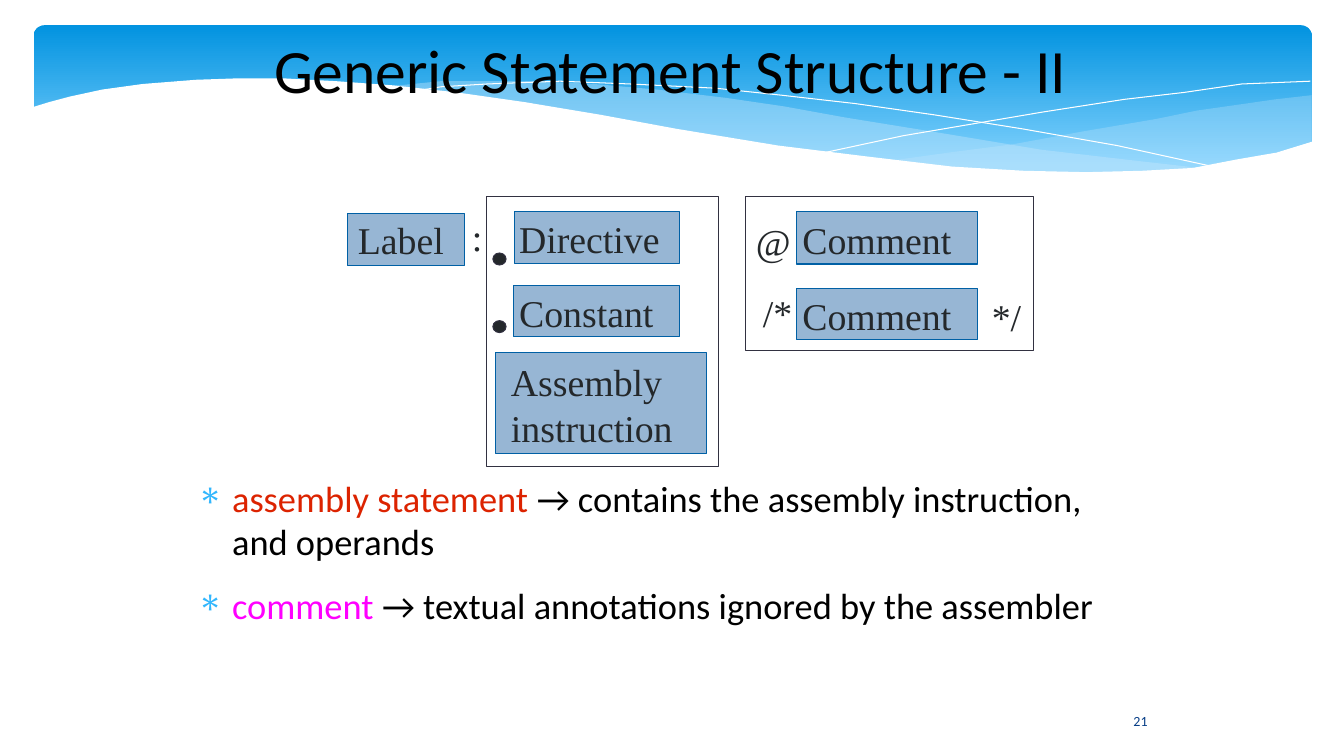
import pptx
import pptx.util
import pptx.dml.color
import pptx.enum.dml
import pptx.enum.shapes
import pptx.enum.text
from lxml import etree

Pt = pptx.util.Pt
Shape = pptx.enum.shapes.MSO_SHAPE
Align = pptx.enum.text.PP_ALIGN
Anchor = pptx.enum.text.MSO_ANCHOR

COLORS = {
    "sky_top": "0293E0", "sky_bottom": "83D3FE", "wave": "C6E7FC", "white": "FFFFFF",
    "chip": "97B6D4", "chip_line": "0060A5", "frame": "323141", "ink": "24282B",
    "black": "000000", "red": "DC2300", "magenta": "FF00FF",
    "bullet": "31B6FD", "number": "073E87",
}
SANS, SERIF = "Calibri", "Times New Roman"

# Banner outlines, in points from the banner's top left corner
RIGHT_WAVE = [
    (912.7, 49.7), (886.8, 53.3), (859.4, 56.9), (831.4, 61.2), (801.8, 67), (748.6, 76.3),
    (699.6, 85), (653.5, 91.4), (611, 97.2), (652.8, 100.8), (691, 103.7), (736.3, 105.8),
    (777.4, 105.8), (813.4, 103.7), (845, 99.4), (873.8, 94.3), (900.5, 87.8), (912.7, 84.2)]
MIDDLE_WAVE = [
    (832.8, 102.2), (779.5, 96.5), (720.5, 89.3), (653.5, 78.5), (580.1, 65.5), (536.2, 58.3),
    (495.1, 51.8), (445.4, 46.1), (400.1, 41.8), (359, 39.6), (323, 39.6), (290.6, 40.3),
    (251, 43.9), (286.3, 46.8), (323.8, 51.8), (364.1, 58.3), (407.3, 65.5), (484.3, 79.2),
    (536.9, 87.1), (585.1, 94.3), (629, 99.4), (669.4, 103), (706.1, 105.1), (750.7, 106.6),
    (790.3, 105.8)]
FALLING_LINE = [
    (272.6, 46.8), (291.4, 43.9), (324.5, 41.8), (375.6, 40.3), (426, 41.8), (487.2, 45.4),
    (534, 49.7), (586.6, 56.2), (643.4, 64.1), (706.1, 74.2), (773.8, 86.4), (847.2, 101.5)]
RISING_LINE = [
    (565, 90.7), (621.1, 79.2), (667.9, 71.3), (721.2, 61.9), (778.8, 53.3), (822, 47.5),
    (863, 42.5), (912, 39.6)]
WHITE_WAVE = [
    (914.2, 82.8), (887.5, 90.7), (859.4, 96.5), (827.8, 101.5), (792.5, 104.4),
    (752.2, 105.1), (706.8, 104.4), (655.7, 100.8), (597.4, 94.3), (531.8, 85.7),
    (459.1, 74.2), (405.1, 64.1), (351.1, 55.4), (302.2, 48.2), (256.8, 43.2), (215.8, 40.3),
    (179, 38.2), (145.2, 38.2), (115.7, 38.9), (78.2, 41.8), (48.7, 46.1), (25.7, 51.1),
    (10.6, 55.4), (-1.7, 59), (-1.7, 143.3), (914.2, 143.3)]


def color(name):
    return pptx.dml.color.RGBColor.from_string(COLORS[name])


def paint(shape, fill=None, line=None):
    shape.shadow.inherit = False
    if fill:
        shape.fill.solid()
        shape.fill.fore_color.rgb = color(fill)
    else:
        shape.fill.background()
    if line:
        shape.line.color.rgb = color(line)
        shape.line.width = Pt(0)
    else:
        shape.line.fill.background()


def add_preset(page, kind, left, top, width, height, fill=None, line=None):
    shape = page.shapes.add_shape(kind, Pt(left), Pt(top), Pt(width), Pt(height))
    paint(shape, fill, line)
    return shape


def add_outline(page, left, top, points, fill=None, line=None, opacity=100):
    builder = page.shapes.build_freeform(*points[0], scale=Pt(1))
    builder.add_line_segments(points[1:], close=fill is not None)
    shape = builder.convert_to_shape(Pt(left), Pt(top))
    paint(shape, fill, line)
    if opacity < 100:
        tone = shape.fill._xPr.solidFill[0]
        etree.SubElement(tone, pptx.oxml.ns.qn("a:alpha"), val=str(opacity * 1000))


def add_box(page, left, top, width, height, wrap=True, anchor=Anchor.TOP):
    box = page.shapes.add_textbox(Pt(left), Pt(top), Pt(width), Pt(height))
    frame = box.text_frame
    frame.word_wrap = wrap
    frame.vertical_anchor = anchor
    frame.margin_left = frame.margin_top = frame.margin_right = frame.margin_bottom = 0
    return frame


def add_span(para, text, size, font, tone):
    span = para.add_run()
    span.text = text
    span.font.size = Pt(size)
    span.font.name = font
    span.font.color.rgb = color(tone)


def add_banner(page, left, top, width, height):
    sky = add_preset(page, Shape.ROUNDED_RECTANGLE, left, top, width, height)
    sky.adjustments[0] = 0.07
    sky.fill.gradient()
    sky.fill.gradient_angle = 270
    for stop, tone, position in zip(sky.fill.gradient_stops, ("sky_top", "sky_bottom"), (0, 0.9)):
        stop.color.rgb = color(tone)
        stop.position = position
    add_outline(page, left, top, RIGHT_WAVE, fill="wave", opacity=29)
    add_outline(page, left, top, MIDDLE_WAVE, fill="wave", opacity=40)
    for points in (FALLING_LINE, RISING_LINE):
        add_outline(page, left, top, points, line="white")
    add_outline(page, left, top, WHITE_WAVE, fill="white")


def add_line_of_text(page, left, top, width, height, text, size, tone):
    frame = add_box(page, left, top, width, height, anchor=Anchor.MIDDLE)
    para = frame.paragraphs[0]
    para.alignment = Align.CENTER
    add_span(para, text, size, SANS, tone)


def add_statement_diagram(page, left, top):
    # Frames around the alternatives
    for x, width, height in ((99.4, 165.6, 193), (284.4, 205.2, 110.2)):
        add_preset(page, Shape.RECTANGLE, left + x, top, width, height, line="frame")
    # Shaded fields
    for x, y, width, height in (
            (0, 12.2, 83.5, 37.4), (118.8, 10.8, 118.1, 36.7), (118.1, 63.4, 118.8, 36.7),
            (105.8, 111.6, 150.5, 72), (320.4, 10.8, 129.6, 37.4), (320.4, 65.5, 129.6, 36.7)):
        add_preset(page, Shape.RECTANGLE, left + x, top + y, width, height, "chip", "chip_line")
    # Dots before the directive and the constant
    for y in (40.3, 88.6):
        add_preset(page, Shape.OVAL, left + 103.7, top + y, 9.4, 8.6, "ink", "frame")
    # Words and marks
    for text, x, y, width in (
            ("Label", 7.2, 14.4, 61.9), (":", 88.6, 12.2, 7.9),
            ("Directive", 122.4, 13.7, 101.5), ("Constant", 122.4, 66.2, 97.2),
            ("Assembly", 116.6, 115.9, 115.9), ("instruction", 116.6, 149, 116.6),
            ("@", 291.6, 15.8, 25.2), ("Comment", 324.7, 14.4, 107.3),
            ("/*", 296.6, 66.2, 21.6), ("Comment", 324.7, 68.4, 107.3),
            ("*/", 460.1, 69.1, 21.6)):
        frame = add_box(page, left + x, top + y, width, 32.4, wrap=False)
        add_span(frame.paragraphs[0], text, 27, SERIF, "ink")


def add_definitions(page, left, top, width, height, definitions):
    frame = add_box(page, left, top, width, height)
    for index, (term, tone, meaning) in enumerate(definitions):
        para = frame.add_paragraph() if index else frame.paragraphs[0]
        para.space_after = Pt(14.1)
        marks = para._p.get_or_add_pPr()
        marks.set("marL", str(Pt(34)))
        marks.set("indent", str(-Pt(25)))
        bullet_color = etree.SubElement(marks, pptx.oxml.ns.qn("a:buClr"))
        etree.SubElement(bullet_color, pptx.oxml.ns.qn("a:srgbClr"), val=COLORS["bullet"])
        etree.SubElement(marks, pptx.oxml.ns.qn("a:buChar"), char="∗")
        add_span(para, term, 26, SANS, tone)
        add_span(para, meaning, 26, SANS, "black")


def main():
    deck = pptx.Presentation()
    deck.slide_width, deck.slide_height = Pt(960), Pt(540)
    page = deck.slides.add_slide(deck.slide_layouts[6])
    add_banner(page, 24, 18, 913, 112.3)
    add_line_of_text(page, 792.7, 500.4, 43.9, 28.8, "21", 10, "number")
    add_line_of_text(page, 142.6, 12.2, 673.2, 73.4, "Generic Statement Structure - II", 44, "black")
    add_definitions(page, 131.8, 339.8, 684, 142.6, [
        ("assembly statement ", "red", "→ contains the assembly instruction, and operands"),
        ("comment", "magenta", " → textual annotations ignored by the assembler"),
    ])
    add_statement_diagram(page, 248.4, 140.4)
    deck.save("out.pptx")


if __name__ == "__main__":
    main()
